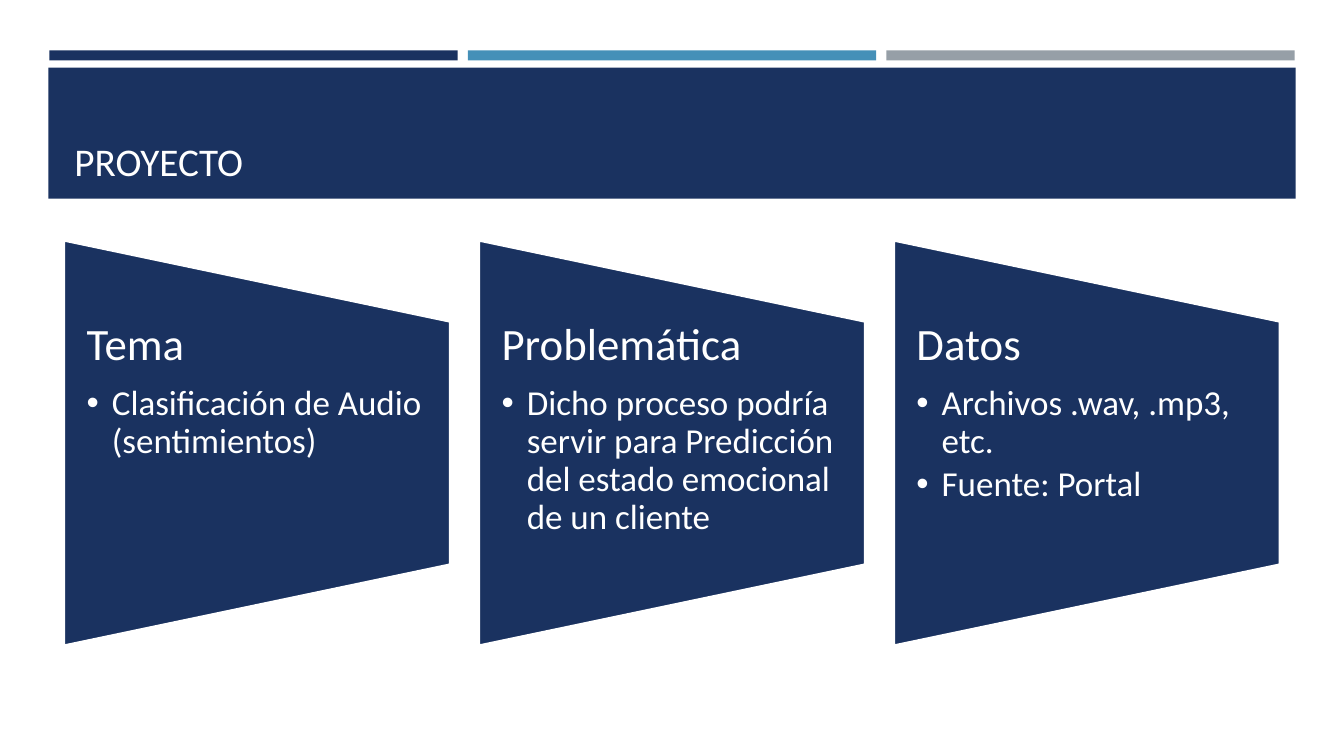
from lxml.etree import SubElement
from pptx import Presentation
from pptx.dml.color import RGBColor
from pptx.enum.shapes import MSO_SHAPE as Preset
from pptx.enum.text import MSO_ANCHOR as Anchor, PP_ALIGN as Align
from pptx.oxml.ns import qn
from pptx.util import Inches, Pt

FONT = "Calibri"
COLORS = {"navy": "1A3260", "blue": "4590B8", "gray": "969FA7", "white": "FFFFFF"}
TITLE = "PROYECTO"
STRIPES = ["navy", "blue", "gray"]
CARDS = [
    ("Tema", ["Clasificación de Audio (sentimientos)"]),
    ("Problemática", ["Dicho proceso podría servir para Predicción del estado emocional de un cliente"]),
    ("Datos", ["Archivos .wav, .mp3, etc.", "Fuente: Portal"]),
]

STRIPE_LEFT, STRIPE_STEP = 0.49, 4.15
CARD_LEFT, CARD_STEP = 0.54, 4.115
TEXT_OFFSET = 0.1


def color(name):
    return RGBColor.from_string(COLORS[name])


def add_block(slide, preset, left, top, width, height, fill):
    shape = slide.shapes.add_shape(preset, Inches(left), Inches(top), Inches(width), Inches(height))
    shape.shadow.inherit = False
    shape.fill.solid()
    shape.fill.fore_color.rgb = color(fill)
    shape.line.fill.background()
    return shape


def add_text(slide, left, top, width, height, lines, anchor):
    box = slide.shapes.add_textbox(Inches(left), Inches(top), Inches(width), Inches(height))
    text_frame = box.text_frame
    text_frame.word_wrap = True
    text_frame.vertical_anchor = anchor
    text_frame.text = "\n".join(text for text, size in lines)
    for paragraph, (text, size) in zip(text_frame.paragraphs, lines):
        paragraph.alignment = Align.LEFT
        paragraph.line_spacing = 0.9
        font = paragraph.runs[0].font
        font.name, font.size = FONT, Pt(size)
        font.color.rgb = color("white")
    return text_frame


def add_bullet(paragraph):
    properties = paragraph._p.get_or_add_pPr()
    properties.set("marL", str(Inches(0.25)))
    properties.set("indent", str(Inches(-0.25)))
    SubElement(properties, qn("a:buFont")).set("typeface", "Arial")
    SubElement(properties, qn("a:buChar")).set("char", "•")


def add_card(slide, left, heading, points):
    card = add_block(slide, Preset.FLOWCHART_MANUAL_OPERATION, left, 2.48, 4.02, 3.83, "navy")
    card.rotation = 270
    card.line.color.rgb = color("white")
    card.line.width = Pt(1.75)

    lines = [(heading, 32)] + [(point, 25) for point in points]
    text_frame = add_text(slide, left + TEXT_OFFSET, 3.19, 3.83, 2.41, lines, Anchor.TOP)
    text_frame.margin_left, text_frame.margin_right = Inches(0.22), Inches(0.23)
    text_frame.margin_top = text_frame.margin_bottom = 0
    heading_paragraph, *point_paragraphs = text_frame.paragraphs
    heading_paragraph.space_after = Pt(11.2)
    for paragraph in point_paragraphs:
        paragraph.space_after = Pt(3.75)
        add_bullet(paragraph)


def main():
    presentation = Presentation()
    presentation.slide_width, presentation.slide_height = Inches(13.33), Inches(7.5)
    slide = presentation.slides.add_slide(presentation.slide_layouts[6])

    for index, fill in enumerate(STRIPES):
        add_block(slide, Preset.RECTANGLE, STRIPE_LEFT + index * STRIPE_STEP, 0.5, 4.05, 0.1, fill)
    add_block(slide, Preset.RECTANGLE, 0.48, 0.67, 12.37, 1.3, "navy")
    add_text(slide, 0.64, 0.77, 12.06, 1.11, [(TITLE, 28)], Anchor.BOTTOM)

    for index, (heading, points) in enumerate(CARDS):
        add_card(slide, CARD_LEFT + index * CARD_STEP, heading, points)

    presentation.save("out.pptx")


if __name__ == "__main__":
    main()
